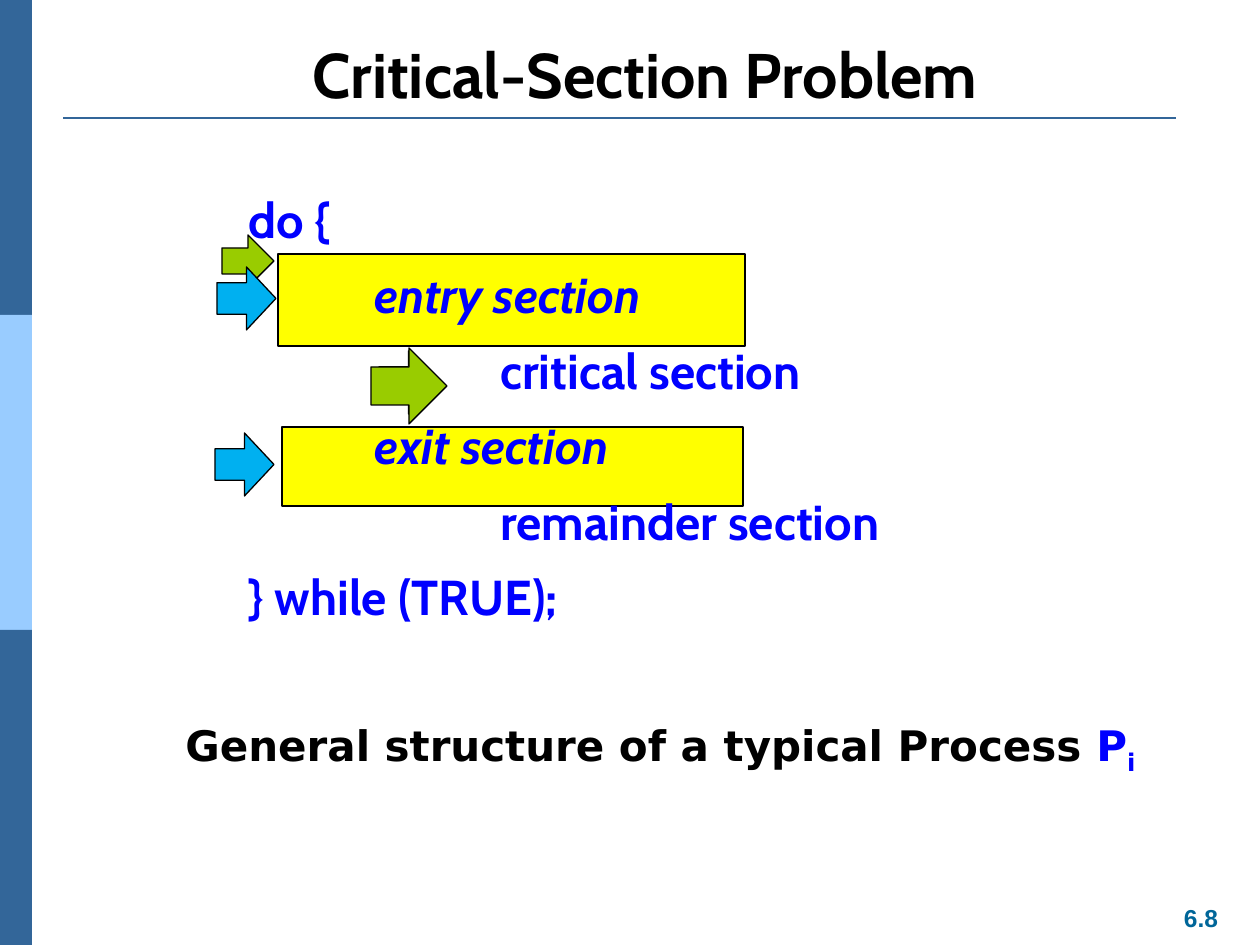
from dataclasses import dataclass

from pptx import Presentation
from pptx import util as u
from pptx.dml.color import RGBColor
from pptx.enum import shapes, text
from pptx.oxml.ns import qn


@dataclass(frozen=True)
class Theme:
    dark: str = "336699"
    light: str = "99CCFF"
    number: str = "006699"
    code: str = "0000FF"
    ink: str = "000000"
    box: str = "FFFF00"
    green: str = "99CC00"
    blue: str = "00B0F0"
    title_pt: int = 36
    code_pt: int = 28
    caption_pt: int = 24
    number_pt: int = 14
    gap_pt: float = 9.5


T = Theme()
PX = 914400 / 126
SLIDE = (1260, 945)
BAND_COLORS = [T.dark, T.light, T.dark]
BAND_W = 32
RULE = (63, 118, 1176, 118)
SECTION_BOXES = [(282, 427, 461, 79), (278, 254, 467, 92)]
ARROWS = [
    ((222, 235, 52, 52), T.green),
    ((217, 267, 59, 63), T.blue),
    ((379, 351, 59, 63), T.blue),
    ((215, 433, 59, 63), T.blue),
    ((371, 348, 76, 76), T.green),
]
CODE_BOX = (190, 183, 920, 609)
CODE_INDENT, CODE_STEP = 46, 126
CODE = [
    (0, "do {", False),
    (1, "entry section", True),
    (2, "critical section", False),
    (1, "exit section", True),
    (2, "remainder section", False),
    (0, "} while (TRUE);", False),
]
TITLE_BOX, TITLE = (78, 38, 1134, 79), "Critical-Section Problem"
CAPTION_BOX = (173, 713, 978, 64)
CAPTION = [
    ("General structure of a typical Process ", T.ink, 0),
    ("P", T.code, 0),
    ("i", T.code, -25000),
]
NUMBER_BOX, NUMBER = (1163, 897, 76, 43), "6.8"


def px(*values):
    return [u.Emu(round(v * PX)) for v in values]


def add_shape(s, kind, box, fill, outlined=True):
    sp = s.shapes.add_shape(kind, *px(*box))
    sp.shadow.inherit = False
    sp.fill.solid()
    sp.fill.fore_color.rgb = RGBColor.from_string(fill)
    if outlined:
        sp.line.color.rgb = RGBColor.from_string(T.ink)
        sp.line.width = u.Pt(0.75)
    else:
        sp.line.fill.background()


def add_text(s, box, wrap=True):
    tf = s.shapes.add_textbox(*px(*box)).text_frame
    tf.word_wrap = wrap
    return tf


def add_run(p, words, font, size, color, italic=False):
    r = p.add_run()
    r.text = words
    r.font.name, r.font.size = font, u.Pt(size)
    r.font.bold, r.font.italic = True, italic
    r.font.color.rgb = RGBColor.from_string(color)
    return r


def add_rule(s):
    line = s.shapes.add_connector(shapes.MSO_CONNECTOR.STRAIGHT, *px(*RULE))
    line.line.color.rgb = RGBColor.from_string(T.dark)
    line.line.width = u.Pt(1.5)
    sp_pr = line._element.spPr
    sp_pr.append(sp_pr.makeelement(qn("a:effectLst"), {}))


def add_code(s):
    tf = add_text(s, CODE_BOX)
    for i, (level, words, italic) in enumerate(CODE):
        p = tf.paragraphs[0] if i == 0 else tf.add_paragraph()
        p.space_before = u.Pt(T.gap_pt if i else 0)
        indent = px(CODE_INDENT + level * CODE_STEP)[0]
        p._p.get_or_add_pPr().set("marL", str(indent))
        add_run(p, words, "Cabin", T.code_pt, T.code, italic)


def main():
    prs = Presentation()
    prs.slide_width, prs.slide_height = px(*SLIDE)
    s = prs.slides.add_slide(prs.slide_layouts[6])
    kind = shapes.MSO_SHAPE

    band_h = SLIDE[1] // len(BAND_COLORS)
    for i, color in enumerate(BAND_COLORS):
        add_shape(s, kind.RECTANGLE, (0, i * band_h, BAND_W, band_h), color, False)
    add_rule(s)

    p = add_text(s, NUMBER_BOX, wrap=False).paragraphs[0]
    p.alignment = text.PP_ALIGN.CENTER
    add_run(p, NUMBER, "Arial", T.number_pt, T.number)

    for box in SECTION_BOXES:
        add_shape(s, kind.RECTANGLE, box, T.box)
    add_code(s)

    tf = add_text(s, TITLE_BOX)
    tf.vertical_anchor = text.MSO_ANCHOR.BOTTOM
    p = tf.paragraphs[0]
    p.alignment = text.PP_ALIGN.CENTER
    add_run(p, TITLE, "Cabin", T.title_pt, T.ink)

    p = add_text(s, CAPTION_BOX, wrap=False).paragraphs[0]
    for words, color, baseline in CAPTION:
        r = add_run(p, words, "DejaVu Sans", T.caption_pt, color)
        if baseline:
            r._r.get_or_add_rPr().set("baseline", str(baseline))

    for box, color in ARROWS:
        add_shape(s, kind.RIGHT_ARROW, box, color)

    prs.save("out.pptx")


if __name__ == "__main__":
    main()
